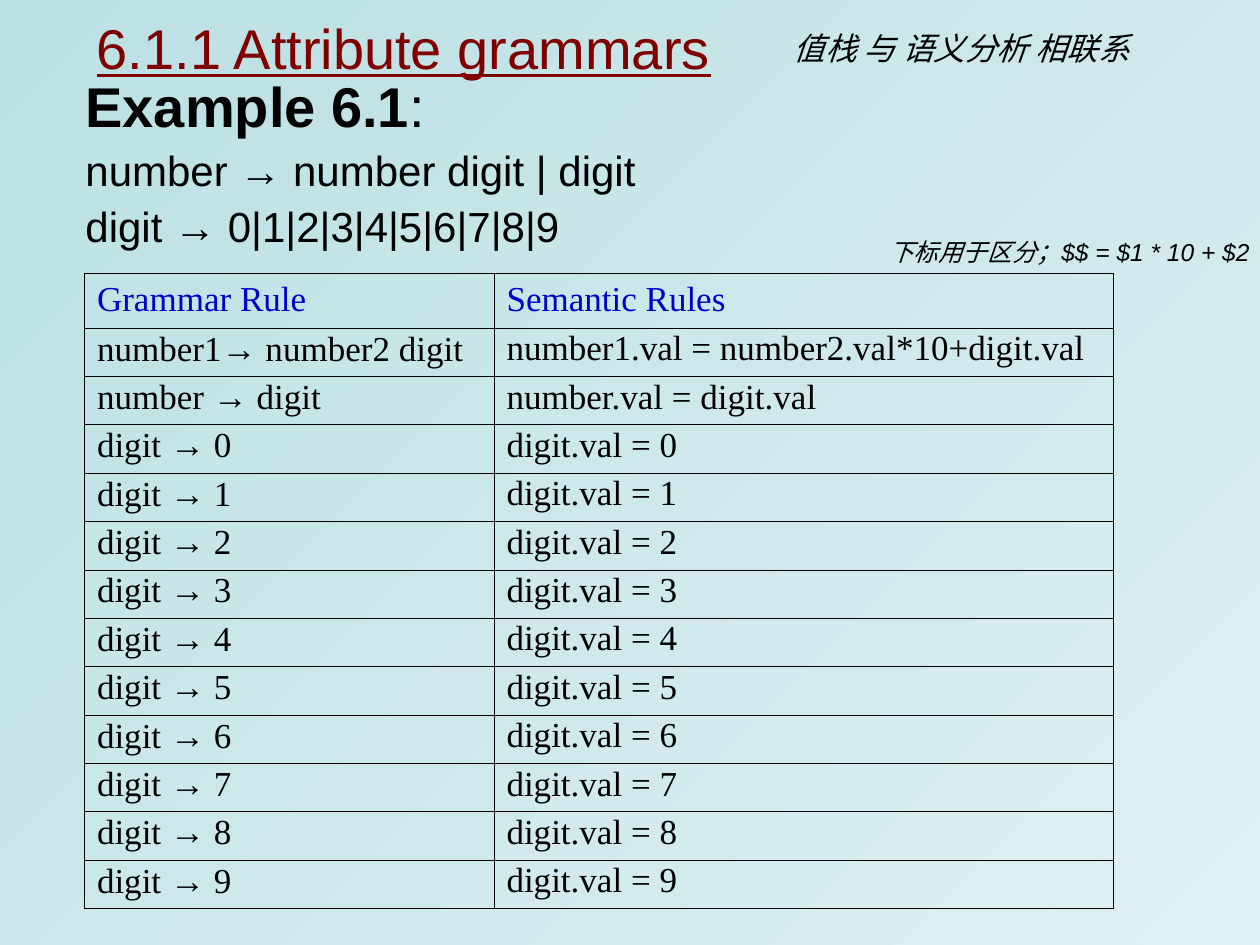
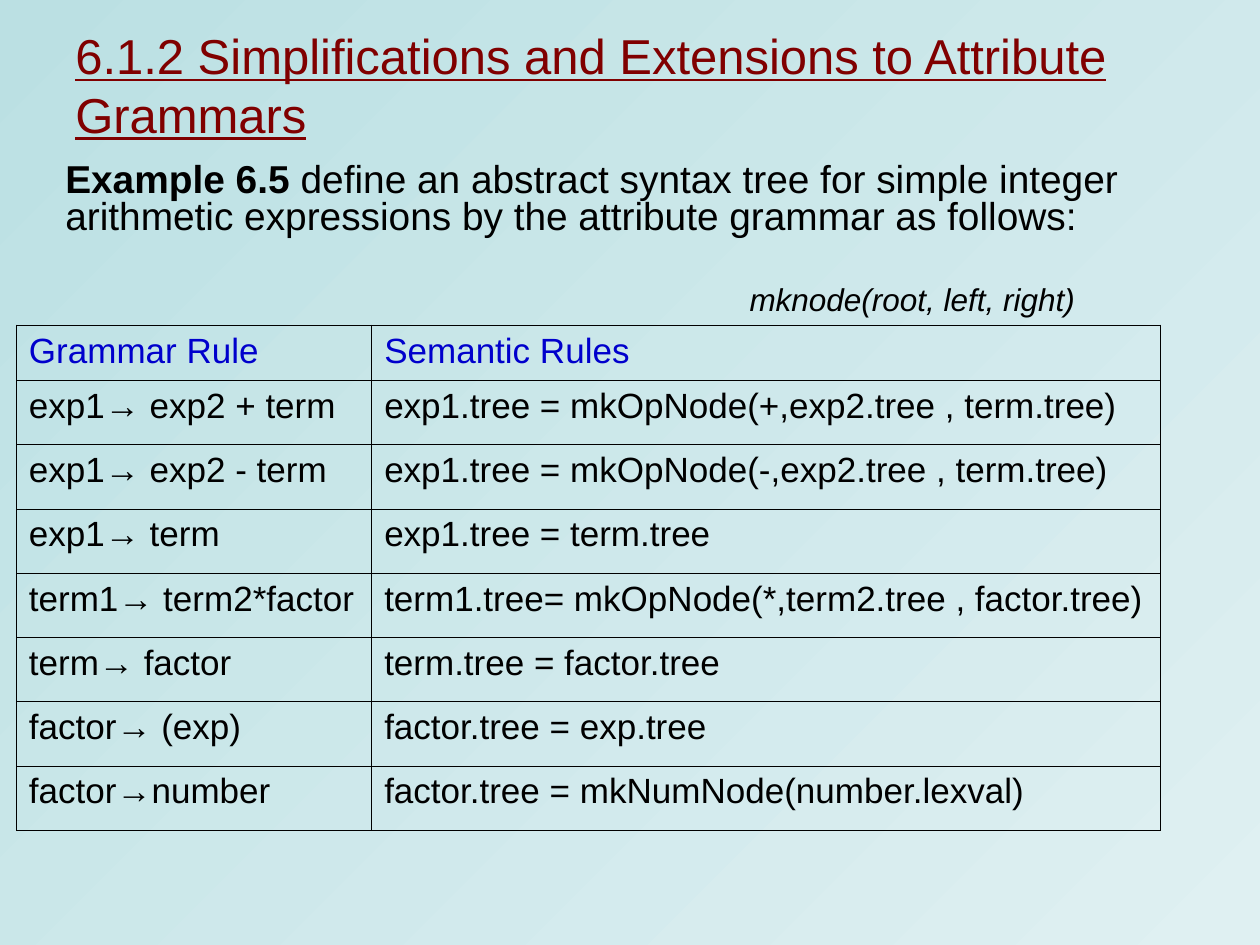
import pptx
import pptx.dml.color
import pptx.enum.text
import pptx.oxml
import pptx.oxml.ns
import pptx.util
from pptx.util import Inches

COLORS = {
    "bg_start": "BBE0E3",
    "bg_end": "DFF0F2",
    "title": "800000",
    "header": "0000CC",
    "text": "000000",
}
SANS, SERIF = "Arial", "Times New Roman"
ARROW = "→"
MIDDLE = pptx.enum.text.MSO_ANCHOR.MIDDLE
TOP = pptx.enum.text.MSO_ANCHOR.TOP
FIT = pptx.enum.text.MSO_AUTO_SIZE.SHAPE_TO_FIT_TEXT


def rgb(name):
    return pptx.dml.color.RGBColor.from_string(COLORS[name])


def write(p, text, size=20, font=SANS, color="text", bold=False, italic=False, underline=False):
    r = p.add_run()
    r.text = text
    r.font.size = pptx.util.Pt(size)
    r.font.name = font
    r.font.color.rgb = rgb(color)
    r.font.bold = bold
    r.font.italic = italic
    r.font.underline = underline


def add_slide(prs):
    s = prs.slides.add_slide(prs.slide_layouts[6])
    fill = s.background.fill
    fill.gradient()
    fill.gradient_angle = 315
    for stop, name in zip(fill.gradient_stops, ("bg_start", "bg_end")):
        stop.color.rgb = rgb(name)
    return s


def add_box(s, box, anchor=TOP, wrap=True):
    tf = s.shapes.add_textbox(*map(Inches, box)).text_frame
    tf.word_wrap = wrap
    tf.vertical_anchor = anchor
    return tf


def add_title(s, box, text, size):
    write(add_box(s, box, MIDDLE).paragraphs[0], text, size=size, color="title", underline=True)


def add_note(s, box, text, size=18):
    tf = add_box(s, box, wrap=False)
    tf.auto_size = FIT
    write(tf.paragraphs[0], text, size=size, italic=True)


def add_body(s, box, paragraphs, line_spacing):
    tf = add_box(s, box)
    for i, (before, runs) in enumerate(paragraphs):
        p = tf.add_paragraph() if i else tf.paragraphs[0]
        p.line_spacing = line_spacing
        p.space_before = pptx.util.Pt(before)
        for text, size, bold in runs:
            write(p, text, size=size, bold=bold)


def add_borders(cell):
    tc_pr = cell._tc.get_or_add_tcPr()
    for side in ("lnL", "lnR", "lnT", "lnB"):
        tc_pr.append(pptx.oxml.parse_xml(
            f'<a:{side} {pptx.oxml.ns.nsdecls("a")} w="5715"><a:solidFill>'
            f'<a:srgbClr val="{COLORS["text"]}"/></a:solidFill></a:{side}>'))


def fill_cell(cell, text, font, color, line_spacing):
    add_borders(cell)
    cell.fill.background()
    p = cell.text_frame.paragraphs[0]
    p.line_spacing = line_spacing
    before, arrow, after = text.partition(ARROW)
    for part, face in ((before, font), (arrow, SANS), (after, font)):
        if part:
            write(p, part, font=face, color=color)


def add_rule_table(s, box, rules, col_widths, header_height, font=SANS, line_spacing=1.0):
    rows = [("Grammar Rule", "Semantic Rules")] + rules
    table = s.shapes.add_table(len(rows), 2, *map(Inches, box)).table
    table.first_row = table.horz_banding = False
    for col, width in zip(table.columns, col_widths):
        col.width = Inches(width)
    rule_height = (box[3] - header_height) / len(rules)
    for i, row in enumerate(rows):
        table.rows[i].height = Inches(rule_height if i else header_height)
        for j, text in enumerate(row):
            fill_cell(table.cell(i, j), text, font, "text" if i else "header",
                      line_spacing if i else 1.0)


def build_attribute_grammars(prs):
    s = add_slide(prs)
    add_title(s, (0.67, 0, 9.33, 0.75), "6.1.1 Attribute grammars", 32)
    add_body(s, (0.58, 0.58, 7.25, 1.5), [
        (8, [("Example 6.1", 32, True), (":", 32, False)]),
        (6, [("number → number digit | digit", 24, False)]),
        (6, [("digit → " + "|".join(map(str, range(10))), 24, False)]),
    ], 0.9)
    rules = [
        ("number1→ number2 digit", "number1.val = number2.val*10+digit.val"),
        ("number → digit", "number.val = digit.val"),
    ] + [(f"digit → {d}", f"digit.val = {d}") for d in range(10)]
    add_rule_table(s, (0.67, 2.17, 8.17, 5.04), rules, (3.25, 4.92), 0.43, SERIF, 0.85)
    add_note(s, (6.2, 0.18, 2.87, 0.4), "值栈 与 语义分析 相联系")
    add_note(s, (6.96, 1.83, 3.11, 0.34), "下标用于区分；$$ = $1 * 10 + $2", 14)


def build_syntax_tree(prs):
    s = add_slide(prs)
    add_title(s, (0.5, 0.17, 9.33, 1),
              "6.1.2 Simplifications and Extensions to Attribute Grammars", 28)
    add_body(s, (0.42, 1.25, 8.83, 0.92), [
        (6, [("Example 6.5 ", 22.2, True),
             ("define an abstract syntax tree for simple integer arithmetic "
              "expressions by the attribute grammar as follows:", 22.2, False)]),
    ], 0.8)
    rules = [
        ("exp1→ exp2 + term", "exp1.tree = mkOpNode(+,exp2.tree , term.tree)"),
        ("exp1→ exp2 - term", "exp1.tree = mkOpNode(-,exp2.tree , term.tree)"),
        ("exp1→ term", "exp1.tree = term.tree"),
        ("term1→ term2*factor", "term1.tree= mkOpNode(*,term2.tree , factor.tree)"),
        ("term→ factor", "term.tree = factor.tree"),
        ("factor→ (exp)", "factor.tree = exp.tree"),
        ("factor→number", "factor.tree = mkNumNode(number.lexval)"),
    ]
    add_rule_table(s, (0.13, 2.58, 9.08, 4.01), rules, (2.82, 6.26), 0.44)
    add_note(s, (5.85, 2.17, 2.85, 0.4), "mknode(root, left, right)")


def main():
    prs = pptx.Presentation()
    prs.slide_width, prs.slide_height = Inches(10), Inches(7.5)
    build_attribute_grammars(prs)
    build_syntax_tree(prs)
    prs.save("out.pptx")


if __name__ == "__main__":
    main()
